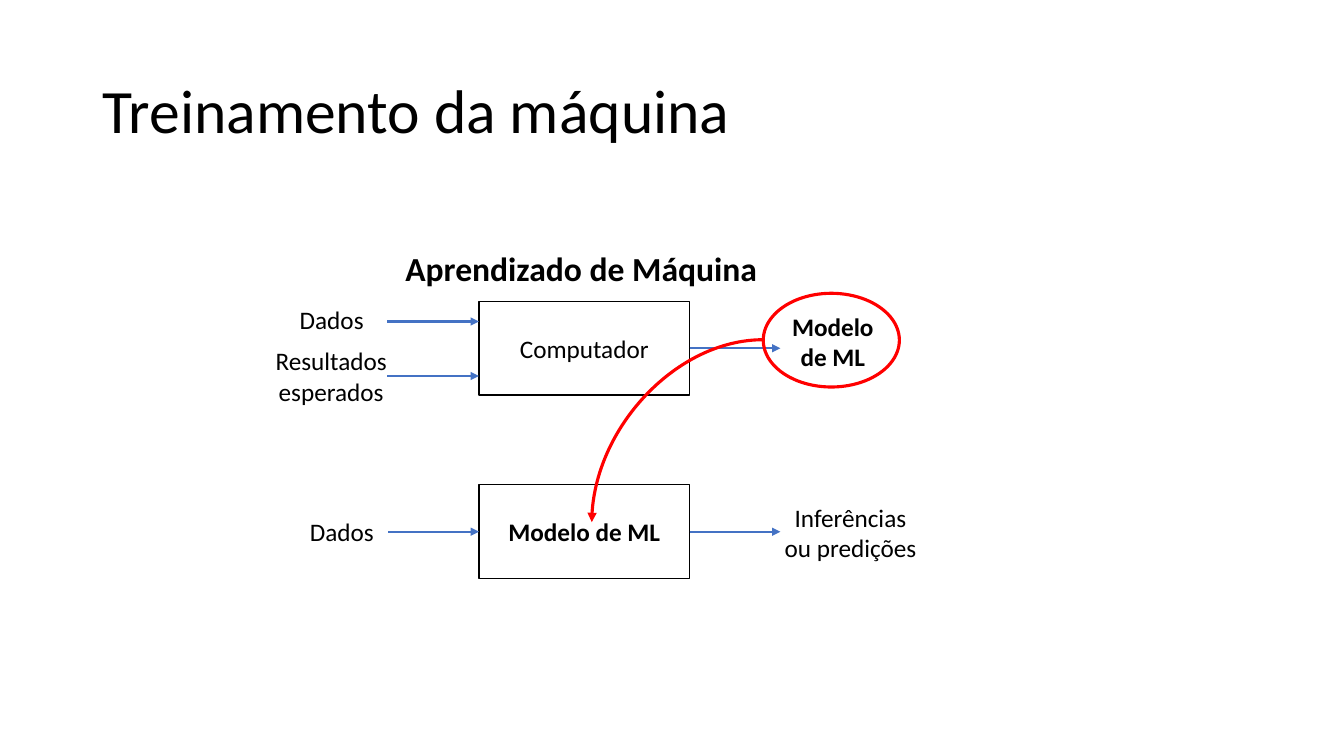
from dataclasses import dataclass
from typing import Optional

import lxml.etree
import pptx
import pptx.dml.color
import pptx.enum.shapes
import pptx.enum.text
import pptx.oxml.ns
import pptx.util

Inches = pptx.util.Inches
Align = pptx.enum.text.PP_ALIGN
Anchor = pptx.enum.text.MSO_ANCHOR
Geometry = pptx.enum.shapes.MSO_SHAPE
Route = pptx.enum.shapes.MSO_CONNECTOR
qn = pptx.oxml.ns.qn

COLORS = {"ink": "000000", "flow": "4472C4", "highlight": "FF0000"}
FONT = "Calibri"
RIGHT, LEFT = 3, 1


@dataclass(frozen=True)
class Label:
    text: str
    left: float
    top: float
    width: float
    height: float
    size: int = 18
    bold: bool = False
    align: Align = Align.CENTER
    anchor: Anchor = Anchor.TOP
    spacing: float = 1.0


@dataclass(frozen=True)
class Stage:
    text: str
    top: float
    bold: bool = False


@dataclass(frozen=True)
class Flow:
    start: float
    end: float
    y: float
    source: Optional[str] = None
    target: Optional[str] = None


LABELS = [
    Label("Treinamento da máquina", 0.92, 0.4, 11.5, 1.45, 44,
          align=Align.LEFT, anchor=Anchor.MIDDLE, spacing=0.9),
    Label("Aprendizado de Máquina", 3.84, 2.41, 3.85, 0.5, 24, True),
    Label("Dados", 2.72, 2.97, 1.14, 0.4),
    Label("Resultados esperados", 2.46, 3.38, 1.65, 0.71),
    Label("Modelo de ML", 7.69, 3.04, 1.14, 0.71, bold=True),
    Label("Dados", 2.82, 5.07, 1.14, 0.4),
    Label("Inferências ou predições", 7.64, 4.93, 1.59, 0.71),
]
STAGES = [Stage("Computador", 2.99), Stage("Modelo de ML", 4.81, True)]
FLOWS = [
    Flow(3.84, 4.75, 3.19),
    Flow(3.84, 4.75, 3.73),
    Flow(6.84, 7.74, 3.46, source="Computador"),
    Flow(3.85, 4.75, 5.27, target="Modelo de ML"),
    Flow(6.84, 7.74, 5.28, source="Modelo de ML"),
]


def rgb(name: str) -> pptx.dml.color.RGBColor:
    return pptx.dml.color.RGBColor.from_string(COLORS[name])


def write(frame, text: str, size: int, bold: bool, align: Align,
          anchor: Anchor, spacing: float = 1.0) -> None:
    frame.word_wrap = True
    frame.vertical_anchor = anchor
    paragraph = frame.paragraphs[0]
    paragraph.alignment = align
    paragraph.line_spacing = spacing
    run = paragraph.add_run()
    run.text = text
    run.font.name = FONT
    run.font.size = pptx.util.Pt(size)
    run.font.bold = bold
    run.font.color.rgb = rgb("ink")


def add_label(slide, label: Label) -> None:
    box = slide.shapes.add_textbox(Inches(label.left), Inches(label.top),
                                   Inches(label.width), Inches(label.height))
    write(box.text_frame, label.text, label.size, label.bold,
          label.align, label.anchor, label.spacing)


def add_outline(slide, geometry: Geometry, left: float, top: float,
                width: float, height: float, color: str, weight: float):
    outline = slide.shapes.add_shape(geometry, Inches(left), Inches(top),
                                     Inches(width), Inches(height))
    outline.shadow.inherit = False
    outline.fill.background()
    outline.line.color.rgb = rgb(color)
    outline.line.width = pptx.util.Pt(weight)
    return outline


def add_stage(slide, stage: Stage):
    box = add_outline(slide, Geometry.RECTANGLE, 4.75, stage.top, 2.09, 0.93, "ink", 1)
    write(box.text_frame, stage.text, 18, stage.bold, Align.CENTER, Anchor.MIDDLE)
    return box


def add_arrow(slide, route: Route, x1: float, y1: float, x2: float, y2: float,
              color: str, weight: float):
    arrow = slide.shapes.add_connector(route, Inches(x1), Inches(y1),
                                       Inches(x2), Inches(y2))
    arrow.line.color.rgb = rgb(color)
    arrow.line.width = pptx.util.Pt(weight)
    lxml.etree.SubElement(arrow.line._get_or_add_ln(), qn("a:tailEnd"), type="triangle")
    lxml.etree.SubElement(arrow._element.spPr, qn("a:effectLst"))
    return arrow


def add_flow(slide, flow: Flow, stages: dict) -> None:
    arrow = add_arrow(slide, Route.STRAIGHT, flow.start, flow.y,
                      flow.end, flow.y, "flow", 1.5)
    if flow.source:
        arrow.begin_connect(stages[flow.source], RIGHT)
        arrow.end_y = arrow.begin_y
    if flow.target:
        arrow.end_connect(stages[flow.target], LEFT)
        arrow.begin_y = arrow.end_y


def main() -> None:
    deck = pptx.Presentation()
    deck.slide_width = Inches(13.33)
    deck.slide_height = Inches(7.5)
    slide = deck.slides.add_slide(deck.slide_layouts[6])

    for label in LABELS:
        add_label(slide, label)
    stages = {stage.text: add_stage(slide, stage) for stage in STAGES}
    for flow in FLOWS:
        add_flow(slide, flow, stages)

    add_outline(slide, Geometry.OVAL, 7.57, 2.91, 1.35, 0.93, "highlight", 2.25)
    reuse = add_arrow(slide, Route.CURVE, 7.57, 3.37, 5.87, 5.18, "highlight", 2.25)
    reuse._element.spPr.find(qn("a:prstGeom")).set("prst", "curvedConnector2")

    deck.save("out.pptx")


if __name__ == "__main__":
    main()
